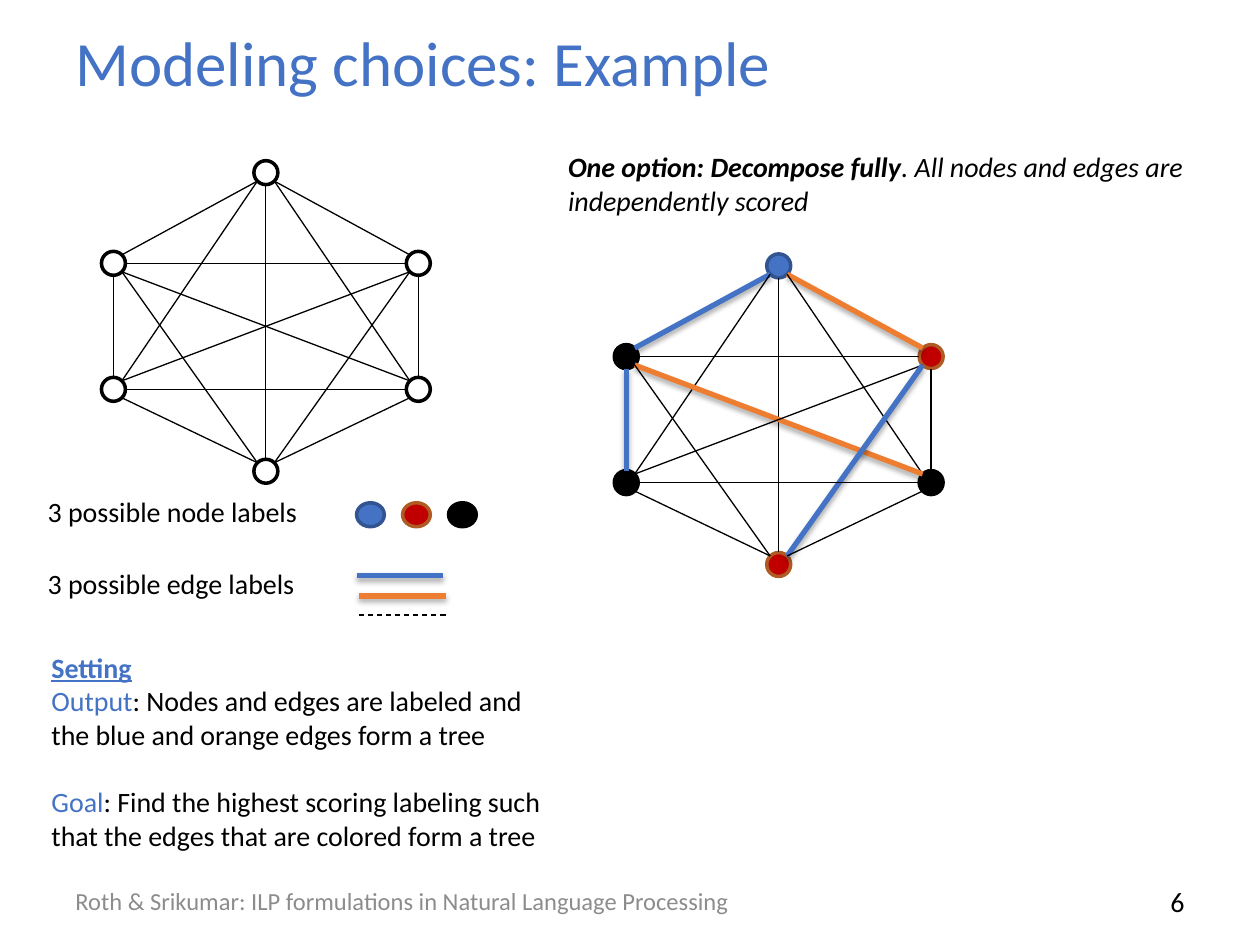
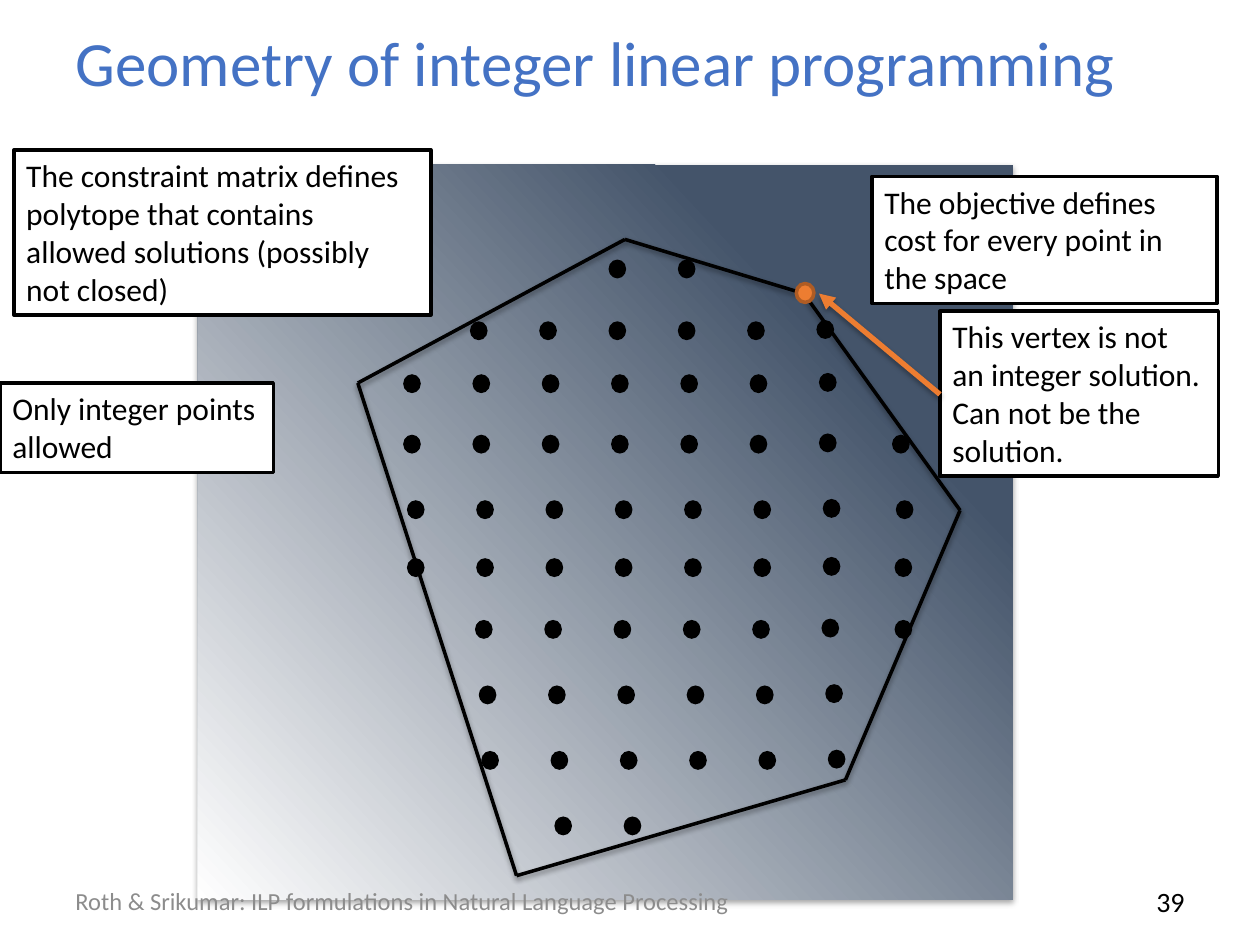
from itertools import combinations

from pptx import Presentation
from pptx import util as u
from pptx.dml.color import RGBColor
from pptx.enum import dml, shapes, text
from pptx.oxml import parse_xml
from pptx.oxml.ns import nsdecls, qn

# Shared look
FONT = "Calibri"
BLUE, ORANGE, RED = "4472C4", "ED7D31", "C00000"
BLACK, WHITE, GREY, SLATE = "000000", "FFFFFF", "8C8C8C", "44546A"
RIMS = {BLUE: "325491", RED: "AF5C24", ORANGE: "AF5C24"}
FOOTER = "Roth & Srikumar: ILP formulations in Natural Language Processing"

# Graph: node centres from the top left corner of the graph
NODES = [(1.21, 0), (0, 0.72), (2.42, 0.72), (0, 1.72), (2.42, 1.72), (1.21, 2.37)]
SIZE = 0.19
LABELS = [BLUE, BLACK, RED, BLACK, BLACK, RED]
TREE = {(0, 1): BLUE, (0, 2): ORANGE, (1, 3): BLUE, (1, 4): ORANGE, (2, 5): BLUE}

# Polytope corners, and rows of integer points: left, top, count
CORNERS = [(2.84, 3.04), (4.96, 1.9), (6.38, 2.33), (7.62, 4.05), (6.71, 6.19), (4.1, 6.95)]
ROWS = [(4.83, 2.06, 2), (3.73, 2.55, 6), (3.2, 2.97, 7), (3.2, 3.45, 7),
        (3.23, 3.97, 7), (3.23, 4.43, 7), (3.77, 4.92, 6), (3.8, 5.44, 6),
        (3.82, 5.96, 6), (4.4, 6.48, 2)]
EDGE = [(7.08, 3.45), (7.11, 3.97), (7.1, 4.43), (7.1, 4.92)]
STEP, LAST = 0.55, 6.4


def rgb(code):
    return RGBColor.from_string(code)


def inch(*nums):
    return [u.Inches(n) for n in nums]


def effect(item, alpha=0, dist=23000):
    """Give an item a soft shadow below it, or none when alpha is 0."""
    props = item._element.spPr
    for old in props.findall(qn("a:effectLst")):
        props.remove(old)
    soft = (f'<a:outerShdw blurRad="40000" dist="{dist}" dir="5400000" rotWithShape="0">'
            f'<a:srgbClr val="000000"><a:alpha val="{alpha}000"/></a:srgbClr></a:outerShdw>')
    props.append(parse_xml(f'<a:effectLst {nsdecls("a")}>{soft if alpha else ""}</a:effectLst>'))


def style(run, size, color=BLACK, bold=False, italic=False, under=False):
    font = run.font
    font.name, font.size = FONT, u.Pt(size)
    font.color.rgb = rgb(color)
    font.bold, font.italic, font.underline = bold, italic, under


def write(frame, paras, size):
    """Fill a frame; each paragraph is a list of (words, style options)."""
    frame.word_wrap = True
    for i, runs in enumerate(paras):
        para = frame.paragraphs[0] if i == 0 else frame.add_paragraph()
        para.alignment = text.PP_ALIGN.LEFT
        for words, opts in runs:
            run = para.add_run()
            run.text = words
            style(run, size, **opts)


def label(slide, at, paras, size=16):
    frame = slide.shapes.add_textbox(*inch(*at)).text_frame
    write(frame, paras, size)
    return frame


def shape(slide, kind, at, fill, rim=None):
    item = slide.shapes.add_shape(kind, *inch(*at))
    item.shadow.inherit = False
    item.fill.solid()
    item.fill.fore_color.rgb = rgb(fill)
    if rim:
        item.line.color.rgb = rgb(rim)
        item.line.width = u.Pt(2)
    else:
        item.line.fill.background()
    return item


def oval(slide, at, fill, rim=None):
    return shape(slide, shapes.MSO_SHAPE.OVAL, at, fill, rim)


def box(slide, at, *lines):
    item = shape(slide, shapes.MSO_SHAPE.RECTANGLE, at, WHITE, BLACK)
    item.text_frame.vertical_anchor = text.MSO_ANCHOR.TOP
    write(item.text_frame, [[(line, {})] for line in lines], 18)


def line(slide, start, end, color=BLACK, width=0.75):
    item = slide.shapes.add_connector(shapes.MSO_CONNECTOR.STRAIGHT, *inch(*start, *end))
    item.line.color.rgb = rgb(color)
    item.line.width = u.Pt(width)
    effect(item, 35 if width > 2 else 0)
    return item


def title(slide, words):
    head = slide.shapes.title
    head.left, head.top, head.width, head.height = inch(0.5, 0.15, 9, 0.68)
    frame = head.text_frame
    frame.text = words
    frame.vertical_anchor = text.MSO_ANCHOR.MIDDLE
    frame.paragraphs[0].alignment = text.PP_ALIGN.LEFT
    style(frame.paragraphs[0].runs[0], 36, BLUE)


def footer(slide, number):
    foot = label(slide, (0.5, 6.95, 6.08, 0.4), [[(FOOTER, {"color": GREY})]], 14)
    page = label(slide, (7.17, 6.95, 2.33, 0.4), [[(number, {})]])
    page.paragraphs[0].alignment = text.PP_ALIGN.RIGHT
    for frame in (foot, page):
        frame.vertical_anchor = text.MSO_ANCHOR.MIDDLE


def sign(num):
    return (num > 0) - (num < 0)


def port(here, there):
    """Point on the rim of a node where the edge to another node starts."""
    dx, dy = there[0] - here[0], there[1] - here[1]
    tip = here[0] == NODES[0][0]
    way = (sign(dx), 0 if tip and abs(dy) < abs(dx) else sign(dy))
    reach = SIZE / 2 * (0.71 if all(way) else 1)
    return [c + w * reach for c, w in zip(here, way)]


def graph(slide, left, top, fills, tree):
    spots = [(left + x, top + y) for x, y in NODES]
    for (x, y), fill in zip(spots, fills):
        oval(slide, (x - SIZE / 2, y - SIZE / 2, SIZE, SIZE), fill, RIMS.get(fill, BLACK))
    for a, b in combinations(range(len(spots)), 2):
        color = tree.get((a, b), BLACK)
        line(slide, port(spots[a], spots[b]), port(spots[b], spots[a]),
             color, 3 if (a, b) in tree else 0.75)


def legend(slide):
    for top, kind in ((3.88, "node"), (4.45, "edge")):
        label(slide, (0.28, top, 2.2, 0.37), [[(f"3 possible {kind} labels", {})]])
    for i, fill in enumerate((BLUE, RED, BLACK)):
        oval(slide, (2.83 + i * 0.365, 3.99, 0.22, SIZE), fill, RIMS.get(fill, BLACK))
    line(slide, (2.83, 4.57), (3.52, 4.57), BLUE, 3)
    line(slide, (2.85, 4.73), (3.54, 4.73), ORANGE, 3)
    dash = line(slide, (2.85, 4.88), (3.54, 4.88))
    dash.line.dash_style = dml.MSO_LINE.DASH


def choices(slide):
    title(slide, "Modeling choices: Example")
    footer(slide, "6")
    label(slide, (4.41, 1.14, 5.48, 0.64), [[
        ("One option: Decompose fully", {"bold": True, "italic": True}),
        (". All nodes and edges are independently scored", {"italic": True})]])
    graph(slide, 0.9, 1.37, [WHITE] * 6, {})
    graph(slide, 4.97, 2.11, LABELS, TREE)
    setting = label(slide, (0.31, 5.11, 4.19, 1.72), [
        [("Setting", {"color": BLUE, "bold": True, "under": True})],
        [("Output", {"color": BLUE}),
         (": Nodes and edges are labeled and the blue and orange edges form a tree", {})],
        [("Goal", {"color": BLUE}),
         (": Find the highest scoring labeling such that the edges that are colored form a tree", {})]])
    setting.paragraphs[2].space_before = u.Pt(19.5)
    legend(slide)


def space(slide):
    """Shaded square: the cost over the whole plane."""
    item = shape(slide, shapes.MSO_SHAPE.RECTANGLE, (1.57, 1.31, 6.47, 5.83), WHITE)
    item.fill.gradient()
    item.fill.gradient_angle = 223
    for stop, (place, color) in zip(item.fill.gradient_stops, ((0.23, SLATE), (1, WHITE))):
        stop.position = place
        stop.color.rgb = rgb(color)
    effect(item, 35)


def points(slide):
    dots = list(EDGE)
    for left, top, count in ROWS:
        for x in (left + i * STEP for i in range(count)):
            dots.append((x, top - 0.01 if x > LAST else top))
    for x, y in dots:
        oval(slide, (x, y, 0.14, 0.15), BLACK)


def geometry(slide):
    title(slide, "Geometry of integer linear programming")
    space(slide)
    footer(slide, "39")
    box(slide, (0.11, 1.19, 3.31, 1.31), "The constraint matrix defines polytope "
        "that contains allowed solutions (possibly not closed)")
    box(slide, (6.92, 1.4, 2.74, 1.01), "The objective defines cost for every point in the space")
    for start, end in zip(CORNERS, CORNERS[1:] + CORNERS[:1]):
        effect(line(slide, start, end, width=2), 38, 20000)
    points(slide)
    box(slide, (0, 3.04, 2.17, 0.71), "Only integer points allowed")
    # Fractional vertex with its note
    oval(slide, (6.32, 2.25, 0.14, 0.15), ORANGE, RIMS[ORANGE])
    box(slide, (7.46, 2.47, 2.21, 1.31), "This vertex is not an integer solution.",
        "Can not be the solution.")
    arrow = line(slide, (7.46, 3.13), (6.5, 2.33), ORANGE, 3)
    arrow._element.spPr.find(qn("a:ln")).append(
        parse_xml(f'<a:tailEnd {nsdecls("a")} type="triangle"/>'))


def main():
    deck = Presentation()
    deck.slide_width, deck.slide_height = inch(10, 7.5)
    for build in (choices, geometry):
        build(deck.slides.add_slide(deck.slide_layouts[5]))
    deck.save("out.pptx")


if __name__ == "__main__":
    main()
